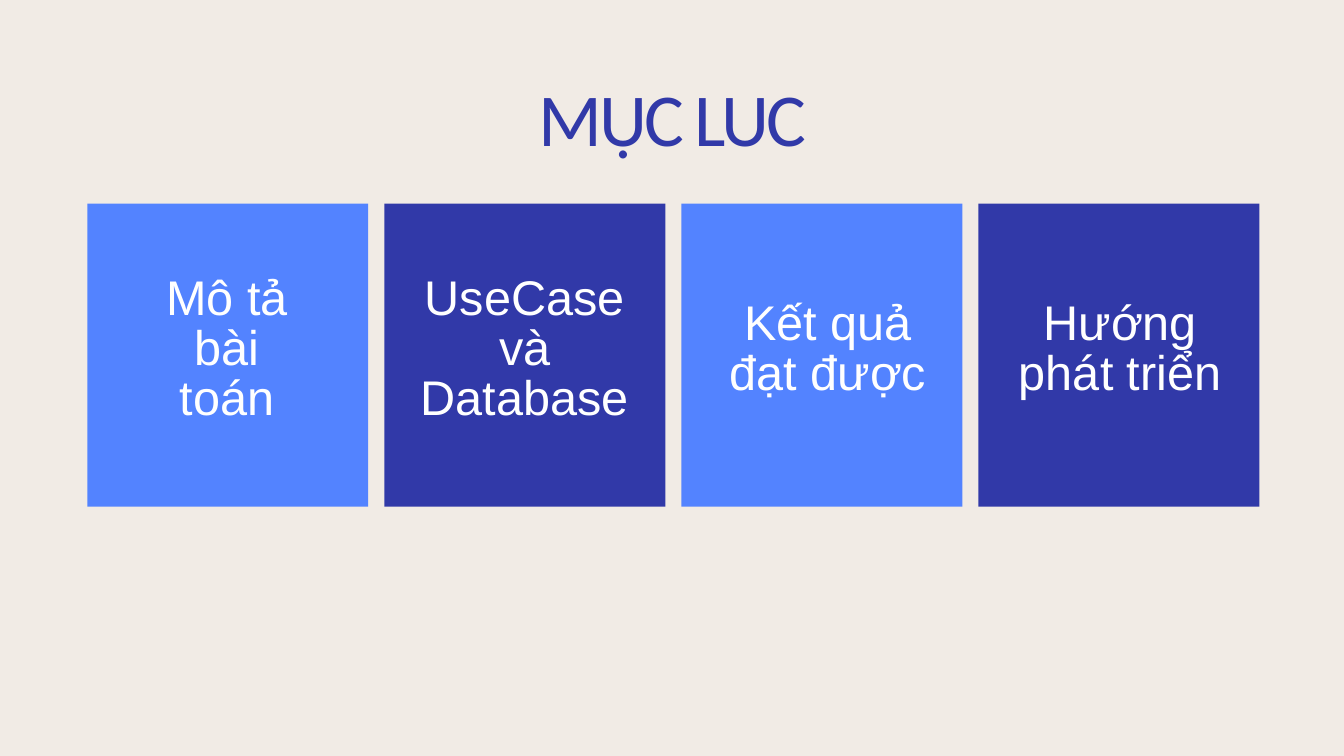
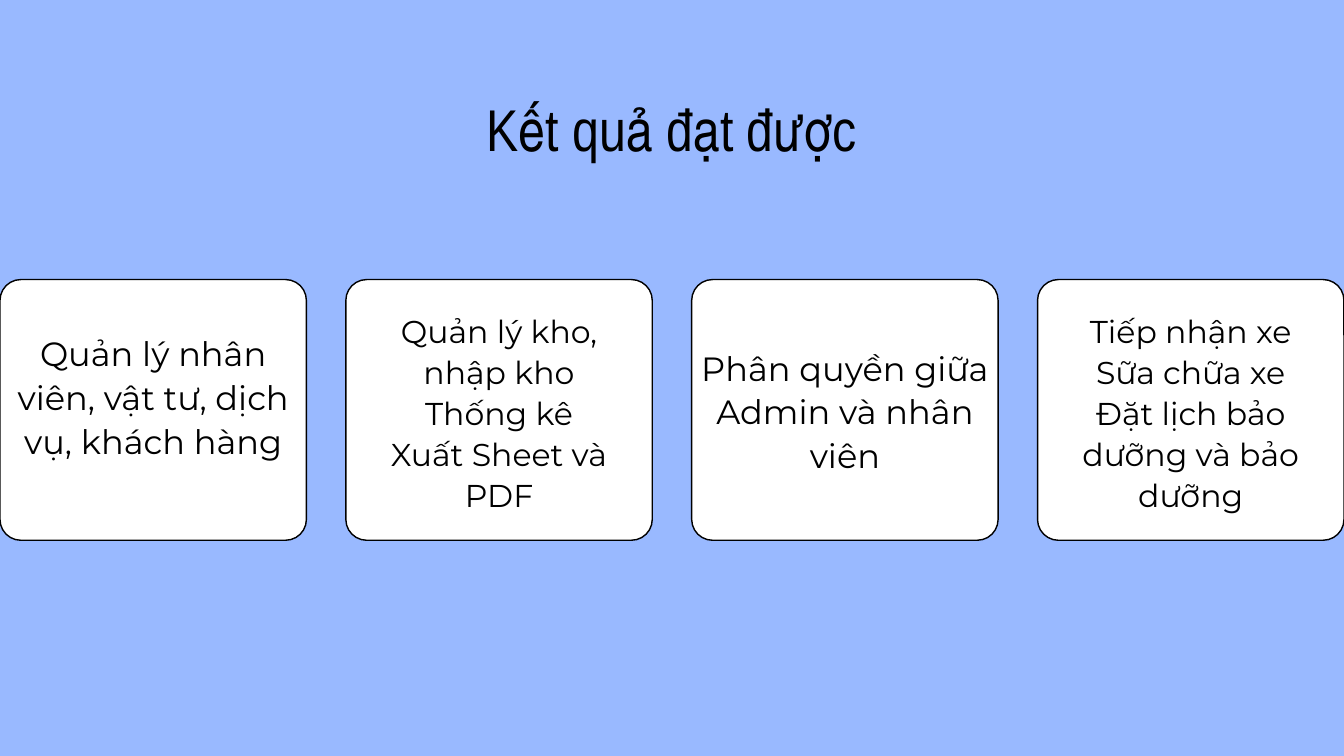
from dataclasses import dataclass
from pptx import Presentation
from pptx.dml.color import RGBColor
from pptx.enum.shapes import MSO_SHAPE
from pptx.enum.text import MSO_ANCHOR, MSO_AUTO_SIZE, PP_ALIGN
from pptx.util import Inches, Pt


@dataclass(frozen=True)
class Theme:
    sand: str = "F1EBE5"
    sky: str = "99B9FF"
    blue: str = "5383FF"
    navy: str = "3139A8"
    white: str = "FFFFFF"
    black: str = "000000"
    contents_title: float = 80
    results_title: float = 63.1
    contents_text: float = 52.1
    results_text: float = 36
    results_list: float = 33.8


T = Theme()


def write(sp, lines, box, *, font, size, color, leading, tracking=0):
    """Place a text shape at box (inches) and fill it with centred paragraphs."""
    sp.left, sp.top, sp.width, sp.height = (Inches(v) for v in box)
    tf = sp.text_frame
    tf.word_wrap = True
    tf.auto_size = MSO_AUTO_SIZE.NONE
    tf.vertical_anchor = MSO_ANCHOR.TOP
    tf.margin_left = tf.margin_top = tf.margin_right = tf.margin_bottom = 0
    for i, line in enumerate(lines):
        p = tf.add_paragraph() if i else tf.paragraphs[0]
        p.alignment = PP_ALIGN.CENTER
        p.line_spacing = Pt(leading)
        p.space_before = Pt(0)
        r = p.add_run()
        r.text = line
        r.font.name = font
        r.font.size = Pt(size)
        r.font.color.rgb = RGBColor.from_string(color)
        if tracking:
            r._r.get_or_add_rPr().set("spc", str(round(tracking * 100)))


def add_card(s, kind, box, fill, outline=None):
    sp = s.shapes.add_shape(kind, *(Inches(v) for v in box))
    sp.shadow.inherit = False
    sp.fill.solid()
    sp.fill.fore_color.rgb = RGBColor.from_string(fill)
    if outline:
        sp.line.color.rgb = RGBColor.from_string(outline)
        sp.line.width = Pt(1.5)
    else:
        sp.line.fill.background()
    return sp


prs = Presentation()
prs.slide_width = Inches(20)
prs.slide_height = Inches(11.25)
title_only = prs.slide_layouts[5]
contents, results = (prs.slides.add_slide(title_only) for _ in range(2))
for s, color in ((contents, T.sand), (results, T.sky)):
    s.background.fill.solid()
    s.background.fill.fore_color.rgb = RGBColor.from_string(color)

# Contents
write(contents.shapes.title, ["MỤC LUC"], (2.71, 1.29, 14.59, 1.16), font="Calibri",
      size=T.contents_title, color=T.navy, leading=80, tracking=-3.4)
topics = [
    ("Mô tả bài toán", (2.13, 4.1, 2.5, 2.26)),
    ("UseCase và Database", (6.09, 4.1, 3.44, 2.26)),
    ("Kết quả đạt được", (10.51, 4.47, 3.62, 1.53)),
    ("Hướng phát triển", (14.93, 4.47, 3.48, 1.53)),
]
tile_w, tile_gap = 4.18, 0.24
for i, (topic, box) in enumerate(topics):
    left = 1.3 + i * (tile_w + tile_gap)
    add_card(contents, MSO_SHAPE.RECTANGLE, (left, 3.03, tile_w, 4.51),
             T.navy if i % 2 else T.blue)
    write(contents.shapes.add_textbox(0, 0, 0, 0), [topic], box, font="Arial",
          size=T.contents_text, color=T.white, leading=53.6)

# Results
write(results.shapes.title, ["Kết quả đạt được"], (5.09, 1.55, 9.82, 0.95),
      font="Arial Narrow", size=T.results_title, color=T.black, leading=63.8)
achievements = [
    (["Quản lý nhân viên, vật tư, dịch vụ, khách hàng"], 4.91),
    (["Quản lý kho, nhập kho", "Thống kê", "Xuất Sheet và PDF"], 4.59),
    (["Phân quyền giữa Admin và nhân viên"], 5.12),
    (["Tiếp nhận xe", "Sữa chữa xe", "Đặt lịch bảo dưỡng và bảo dưỡng"], 4.59),
]
card_w = 4.56
card_step = (20 - card_w) / (len(achievements) - 1)
for i, (lines, top) in enumerate(achievements):
    left = i * card_step
    card = add_card(results, MSO_SHAPE.ROUNDED_RECTANGLE, (left, 4.16, card_w, 3.88),
                    T.white, T.black)
    card.adjustments[0] = 0.08
    if len(lines) > 1:
        width, height, size, leading = 4.04, 3.01, T.results_list, 44
    else:
        width, height, size, leading = 4.3, 1.92, T.results_text, 46.8
    write(results.shapes.add_textbox(0, 0, 0, 0), lines,
          (left + (card_w - width) / 2, top, width, height),
          font="Montserrat", size=size, color=T.black, leading=leading)

prs.save("out.pptx")
